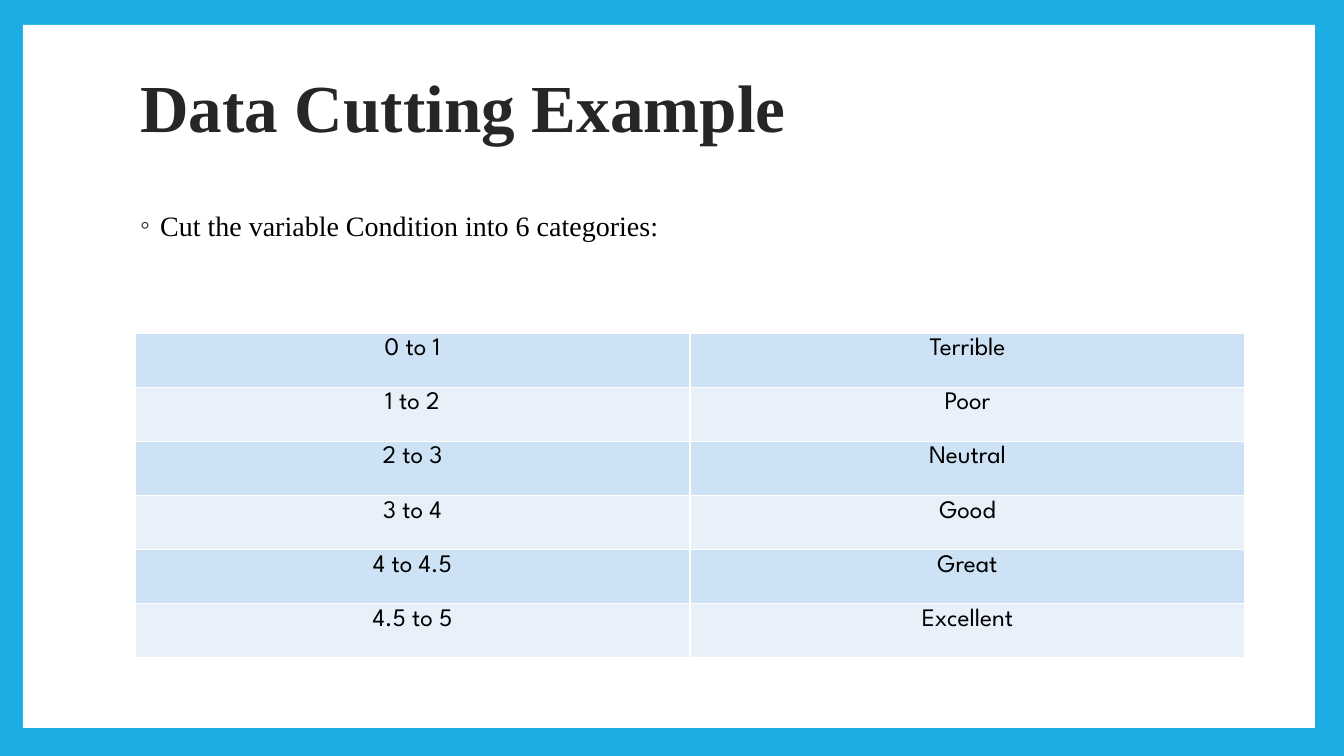
"""Build the data cutting slide with its category table."""
from dataclasses import dataclass

from lxml import etree
from pptx import Presentation
from pptx.dml.color import RGBColor
from pptx.enum.shapes import MSO_SHAPE
from pptx.enum.text import MSO_ANCHOR, MSO_AUTO_SIZE, PP_ALIGN
from pptx.oxml.ns import qn
from pptx.util import Pt

RECTANGLE = MSO_SHAPE.RECTANGLE
TOP, MIDDLE = MSO_ANCHOR.TOP, MSO_ANCHOR.MIDDLE
LEFT, CENTER = PP_ALIGN.LEFT, PP_ALIGN.CENTER
NO_AUTOFIT = MSO_AUTO_SIZE.NONE
EMU_PER_PX = 914400 / 100.8
SLIDE_SIZE = (1344, 756)
CATEGORIES = [
    ("0 to 1", "Terrible"),
    ("1 to 2", "Poor"),
    ("2 to 3", "Neutral"),
    ("3 to 4", "Good"),
    ("4 to 4.5", "Great"),
    ("4.5 to 5", "Excellent"),
]


@dataclass(frozen=True)
class Theme:
    """Colours, fonts and type sizes of the slide."""

    frame: str = "1CADE4"
    paper: str = "FFFFFF"
    heading: str = "262626"
    text: str = "000000"
    bands: tuple = ("CDE3F5", "E8F1FA")
    serif: str = "Times New Roman"
    sans: str = "League Spartan"
    title_size: int = 48
    body_size: int = 20
    table_size: int = 18
    border_width: int = 1


THEME = Theme()


def px(length):
    """Turn pixels into EMU."""
    return round(length * EMU_PER_PX)


def apply(target, formats):
    """Set every attribute named in formats on target."""
    for name, value in formats.items():
        setattr(target, name, value)


def place(shape, left, top, width, height):
    """Move and size a shape in pixels."""
    apply(shape, {"left": px(left), "top": px(top),
                  "width": px(width), "height": px(height)})


def write(frame, text, font, color, paragraph):
    """Write one formatted paragraph into a text frame."""
    line = frame.paragraphs[0]
    apply(line, paragraph)
    run = line.add_run()
    run.text = text
    apply(run.font, font)
    run.font.color.rgb = RGBColor.from_string(color)


def add_panel(slide, depth, color, box):
    """Add a plain rectangle at the given depth behind the text."""
    panel = slide.shapes.add_shape(RECTANGLE, *map(px, box))
    panel.shadow.inherit = False
    panel.fill.solid()
    panel.fill.fore_color.rgb = RGBColor.from_string(color)
    panel.line.fill.background()
    slide.shapes._spTree.insert(2 + depth, panel._element)


def fill_title(title):
    """Place and write the slide title."""
    place(title, 130, 27, 1080, 168)
    apply(title.text_frame, {"vertical_anchor": MIDDLE, "word_wrap": True,
                             "auto_size": NO_AUTOFIT})
    write(title.text_frame, "Data Cutting Example",
          {"name": THEME.serif, "size": Pt(THEME.title_size), "bold": True},
          THEME.heading, {"alignment": LEFT, "line_spacing": 0.9})


def add_bullet(paragraph, mark, color, indent):
    """Give a paragraph a coloured bullet and a hanging indent."""
    properties = paragraph._p.get_or_add_pPr()
    properties.set("marL", str(px(indent)))
    properties.set("indent", str(-px(indent)))
    bullet_color = etree.SubElement(properties, qn("a:buClr"))
    etree.SubElement(bullet_color, qn("a:srgbClr"), val=color)
    etree.SubElement(properties, qn("a:buFont"), typeface=THEME.serif)
    etree.SubElement(properties, qn("a:buChar"), char=mark)


def fill_body(body):
    """Place and write the bulleted statement."""
    place(body, 130, 162, 1080, 496)
    apply(body.text_frame, {"vertical_anchor": TOP, "word_wrap": True,
                            "auto_size": NO_AUTOFIT, "margin_top": px(50)})
    write(body.text_frame, "Cut the variable Condition into 6 categories:",
          {"name": THEME.serif, "size": Pt(THEME.body_size)}, THEME.text,
          {"alignment": LEFT, "line_spacing": 0.9, "space_before": Pt(0)})
    add_bullet(body.text_frame.paragraphs[0], "◦", THEME.heading, 20)


def add_borders(cell):
    """Draw a solid border on all four sides of a cell."""
    properties = cell._tc.get_or_add_tcPr()
    for side in ("a:lnL", "a:lnR", "a:lnT", "a:lnB"):
        border = etree.SubElement(properties, qn(side),
                                  w=str(Pt(THEME.border_width)))
        paint = etree.SubElement(border, qn("a:solidFill"))
        etree.SubElement(paint, qn("a:srgbClr"), val=THEME.paper)


def add_category_table(slide, categories, box):
    """Add the table of ranges and labels in alternating bands."""
    columns = len(categories[0])
    table = slide.shapes.add_table(len(categories), columns,
                                   *map(px, box)).table
    apply(table, {"first_row": False, "horz_banding": False})
    for row, labels in enumerate(categories):
        band = THEME.bands[row % len(THEME.bands)]
        for column, label in enumerate(labels):
            cell = table.cell(row, column)
            add_borders(cell)
            cell.fill.solid()
            cell.fill.fore_color.rgb = RGBColor.from_string(band)
            write(cell.text_frame, label,
                  {"name": THEME.sans, "size": Pt(THEME.table_size)},
                  THEME.text, {"alignment": CENTER})


def main():
    """Build and save the presentation."""
    deck = Presentation()
    deck.slide_width, deck.slide_height = map(px, SLIDE_SIZE)
    slide = deck.slides.add_slide(deck.slide_layouts[1])
    add_panel(slide, 0, THEME.frame, (0, 0, *SLIDE_SIZE))
    add_panel(slide, 1, THEME.paper, (23, 25, 1292, 703))
    fill_title(slide.shapes.title)
    fill_body(slide.placeholders[1])
    add_category_table(slide, CATEGORIES, (135, 333, 1110, 325))
    deck.save("out.pptx")


if __name__ == "__main__":
    main()
